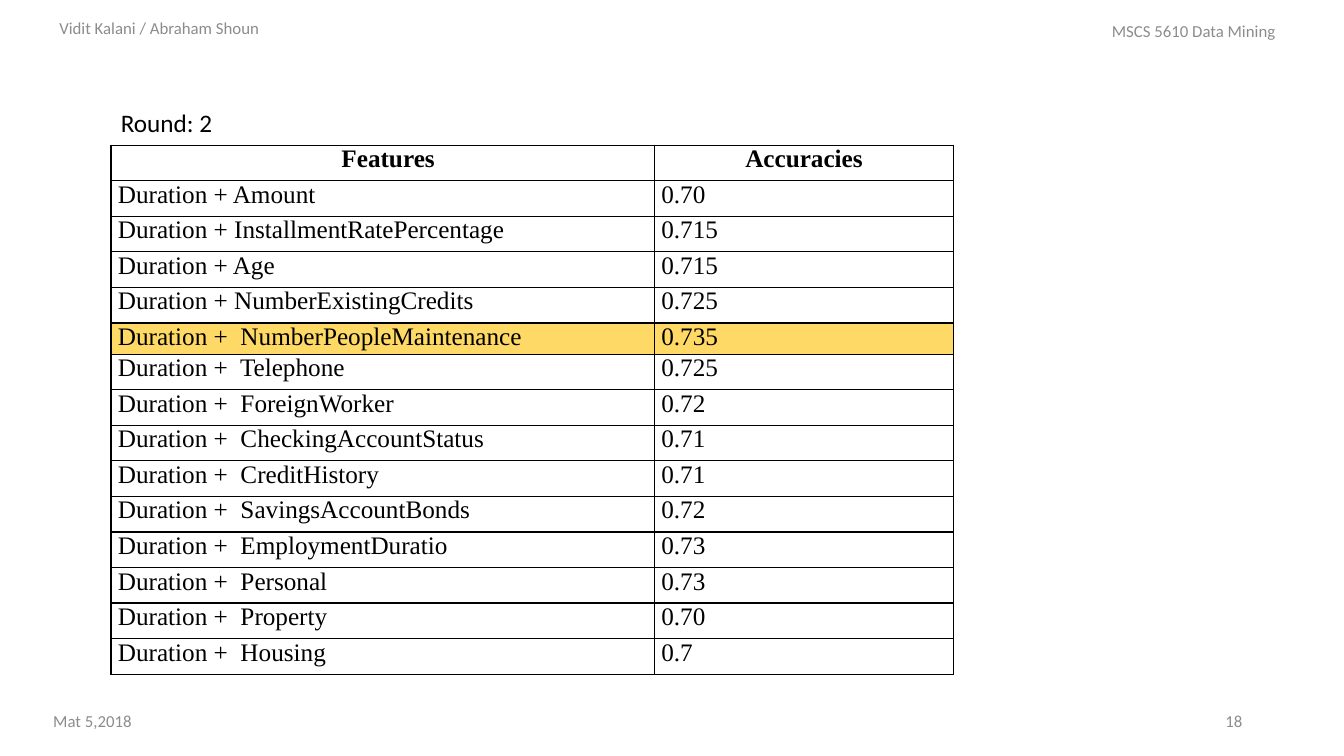
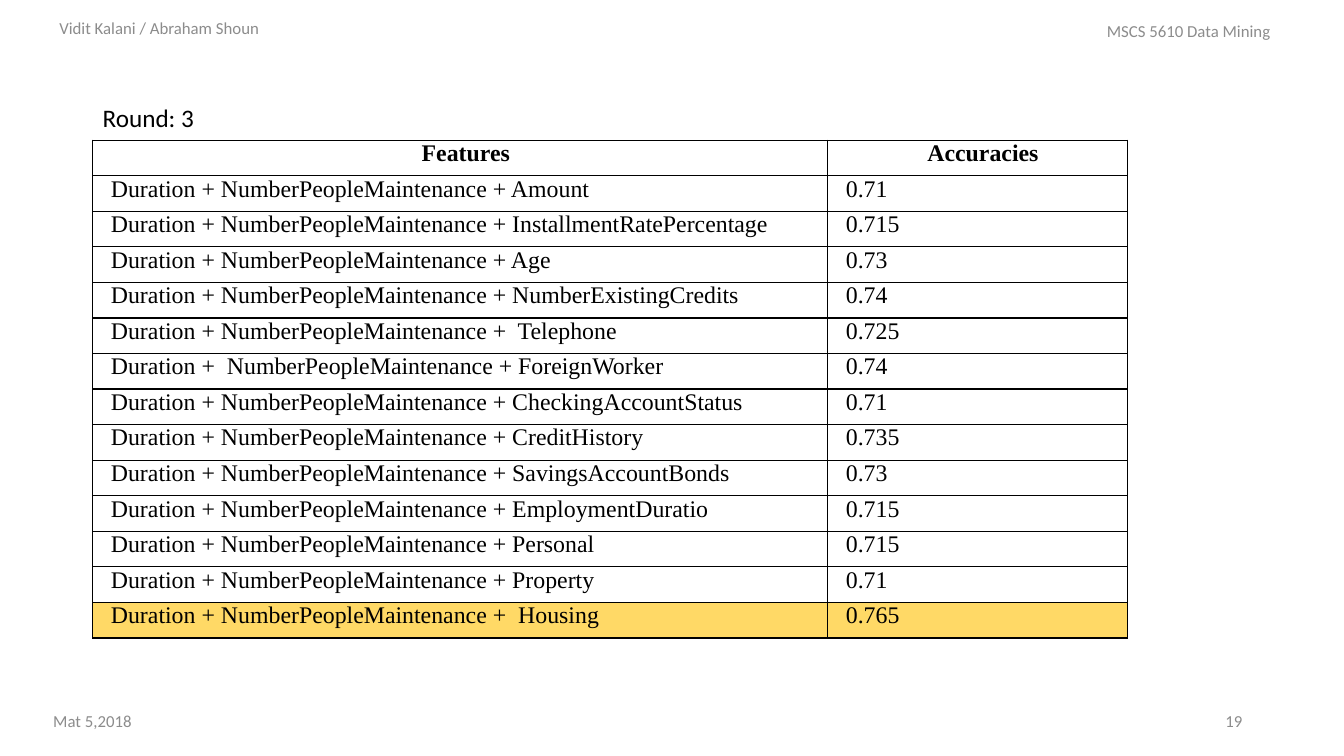
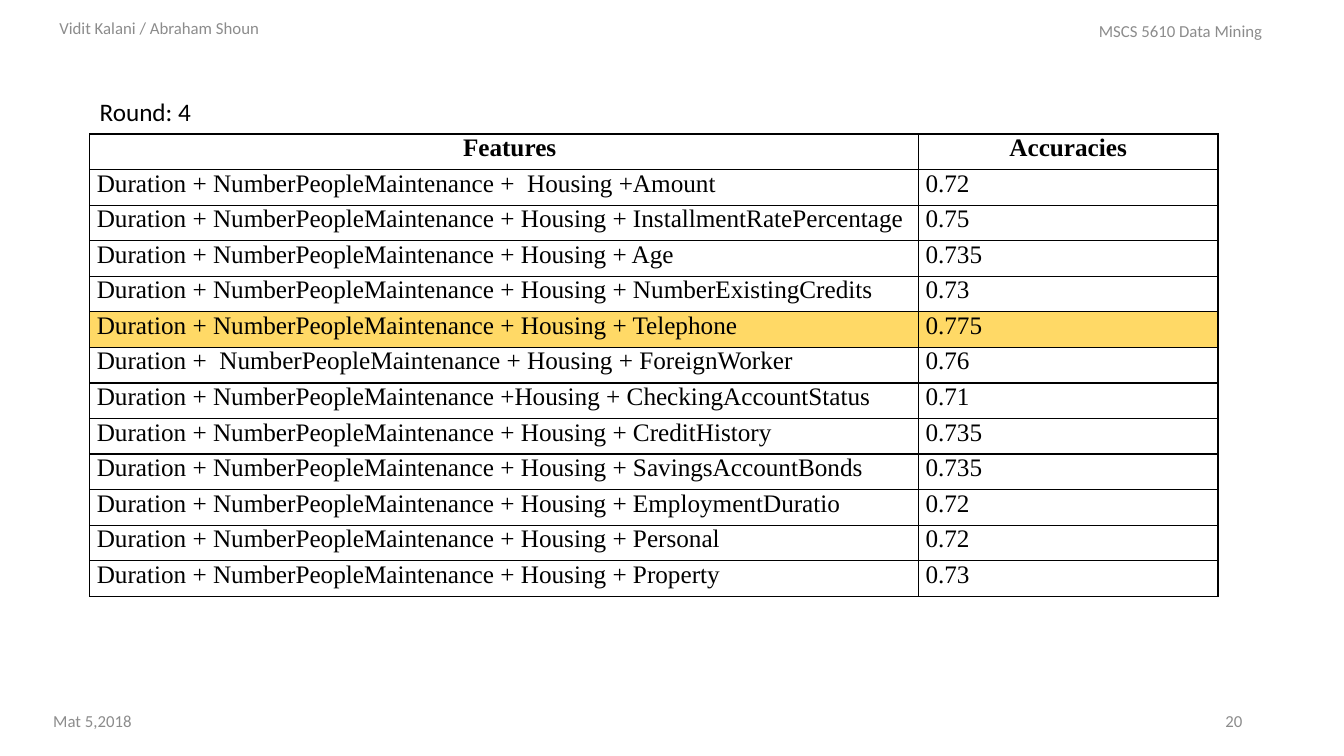
from pptx import Presentation
from pptx.dml.color import RGBColor
from pptx.enum.text import MSO_ANCHOR, PP_ALIGN
from pptx.oxml import parse_xml
from pptx.oxml.ns import nsdecls
from pptx.util import Inches, Pt

LEFT, MID, RIGHT = PP_ALIGN.LEFT, PP_ALIGN.CENTER, PP_ALIGN.RIGHT
TOP, CENTER = MSO_ANCHOR.TOP, MSO_ANCHOR.MIDDLE

BLACK, GRAY, GOLD = "000000", "8C8C8C", "FFD966"
SANS, SERIF = "Calibri", "Times New Roman"
WIDE, HIGH = 13.33, 7.5
LINE = 0.4
ROW = 6 / 17
SCORE = 2.97
INDENT = 0.11

HEADS = ("Features", "Accuracies")
AUTHORS = "Vidit Kalani / Abraham Shoun"
COURSE = "MSCS 5610 Data Mining"
DATE = "Mat 5,2018"

ROUNDS = [
    {
        "round": 2, "page": 18, "left": 1.1, "top": 1.44, "width": 5.39,
        "size": 18, "indent": 0, "best": 0.31, "course": 10.93,
        "rows": [
            ("Duration + Amount", "0.70"),
            ("Duration + InstallmentRatePercentage", "0.715"),
            ("Duration + Age", "0.715"),
            ("Duration + NumberExistingCredits", "0.725"),
            ("Duration +  NumberPeopleMaintenance", "0.735"),
            ("Duration +  Telephone", "0.725"),
            ("Duration +  ForeignWorker", "0.72"),
            ("Duration +  CheckingAccountStatus", "0.71"),
            ("Duration +  CreditHistory", "0.71"),
            ("Duration +  SavingsAccountBonds", "0.72"),
            ("Duration +  EmploymentDuratio", "0.73"),
            ("Duration +  Personal", "0.73"),
            ("Duration +  Property", "0.70"),
            ("Duration +  Housing", "0.7"),
        ],
    },
    {
        "round": 3, "page": 19, "left": 0.92, "top": 1.39, "width": 7.29,
        "size": 17, "indent": INDENT, "best": ROW, "course": 10.88,
        "rows": [
            ("Duration + NumberPeopleMaintenance + Amount", "0.71"),
            ("Duration + NumberPeopleMaintenance + InstallmentRatePercentage", "0.715"),
            ("Duration + NumberPeopleMaintenance + Age", "0.73"),
            ("Duration + NumberPeopleMaintenance + NumberExistingCredits", "0.74"),
            ("Duration + NumberPeopleMaintenance +  Telephone", "0.725"),
            ("Duration +  NumberPeopleMaintenance + ForeignWorker", "0.74"),
            ("Duration + NumberPeopleMaintenance + CheckingAccountStatus", "0.71"),
            ("Duration + NumberPeopleMaintenance + CreditHistory", "0.735"),
            ("Duration + NumberPeopleMaintenance + SavingsAccountBonds", "0.73"),
            ("Duration + NumberPeopleMaintenance + EmploymentDuratio", "0.715"),
            ("Duration + NumberPeopleMaintenance + Personal", "0.715"),
            ("Duration + NumberPeopleMaintenance + Property", "0.71"),
            ("Duration + NumberPeopleMaintenance +  Housing", "0.765"),
        ],
    },
    {
        "round": 4, "page": 20, "left": 0.89, "top": 1.33, "width": 8.22,
        "size": 18, "indent": 0, "best": ROW, "course": 10.8,
        "rows": [
            ("Duration + NumberPeopleMaintenance +  Housing +Amount", "0.72"),
            ("Duration + NumberPeopleMaintenance + Housing + InstallmentRatePercentage", "0.75"),
            ("Duration + NumberPeopleMaintenance + Housing + Age", "0.735"),
            ("Duration + NumberPeopleMaintenance + Housing + NumberExistingCredits", "0.73"),
            ("Duration + NumberPeopleMaintenance + Housing + Telephone", "0.775"),
            ("Duration +  NumberPeopleMaintenance + Housing + ForeignWorker", "0.76"),
            ("Duration + NumberPeopleMaintenance +Housing + CheckingAccountStatus", "0.71"),
            ("Duration + NumberPeopleMaintenance + Housing + CreditHistory", "0.735"),
            ("Duration + NumberPeopleMaintenance + Housing + SavingsAccountBonds", "0.735"),
            ("Duration + NumberPeopleMaintenance + Housing + EmploymentDuratio", "0.72"),
            ("Duration + NumberPeopleMaintenance + Housing + Personal", "0.72"),
            ("Duration + NumberPeopleMaintenance + Housing + Property", "0.73"),
        ],
    },
]


def color(code):
    return RGBColor.from_string(code)


def write(frame, text, size=12, font=SANS, ink=GRAY, bold=False,
          align=LEFT, indent=0, after=0):
    para = frame.paragraphs[0]
    para.alignment = align
    para.space_after = Pt(after)
    if indent:
        props = para._p.get_or_add_pPr()
        props.set("marL", str(Inches(indent)))
        props.set("indent", "0")
    run = para.add_run()
    run.text = text
    run.font.size = Pt(size)
    run.font.name = font
    run.font.bold = bold
    run.font.color.rgb = color(ink)


def label(slide, text, left, top, width=3, anchor=CENTER, **style):
    box = slide.shapes.add_textbox(*map(Inches, (left, top, width, LINE)))
    box.text_frame.word_wrap = True
    box.text_frame.vertical_anchor = anchor
    write(box.text_frame, text, **style)


def border(cell):
    props = cell._tc.get_or_add_tcPr()
    for side in ("lnL", "lnR", "lnT", "lnB"):
        props.append(parse_xml(
            f'<a:{side} {nsdecls("a")} w="{Pt(1)}"><a:solidFill>'
            f'<a:srgbClr val="{BLACK}"/></a:solidFill></a:{side}>'))


def scores(slide, data):
    rows = [HEADS] + data["rows"]
    best = max(range(1, len(rows)), key=lambda i: float(rows[i][1]))
    highs = [data["best"] if i == best else ROW for i in range(len(rows))]
    widths = (data["width"], SCORE)
    area = (data["left"], data["top"], sum(widths), sum(highs))
    table = slide.shapes.add_table(len(rows), len(HEADS), *map(Inches, area)).table
    table.first_row = table.horz_banding = False
    for col, width in zip(table.columns, widths):
        col.width = Inches(width)
    for i, row in enumerate(rows):
        table.rows[i].height = Inches(highs[i])
        for j, text in enumerate(row):
            cell = table.cell(i, j)
            cell.margin_left = cell.margin_right = Inches(0.07)
            cell.margin_top = cell.margin_bottom = 0
            border(cell)
            if i == best:
                cell.fill.solid()
                cell.fill.fore_color.rgb = color(GOLD)
            else:
                cell.fill.background()
            head = i == 0
            write(cell.text_frame, text, size=data["size"], font=SERIF,
                  ink=BLACK, bold=head, align=MID if head else LEFT, after=1.1,
                  indent=INDENT if head and j == 0 else data["indent"])


def frame(slide, data):
    foot = HIGH - 0.55
    label(slide, DATE, 0.43, foot)
    label(slide, str(data["page"]), 9.42, foot, align=RIGHT)
    label(slide, AUTHORS, 0.49, 0.08)
    label(slide, COURSE, data["course"], 0.11, width=3.14)


deck = Presentation()
deck.slide_width, deck.slide_height = Inches(WIDE), Inches(HIGH)
for data in ROUNDS:
    slide = deck.slides.add_slide(deck.slide_layouts[6])
    frame(slide, data)
    scores(slide, data)
    label(slide, f"Round: {data['round']}", data["left"], data["top"] - 0.42,
          width=8.9, anchor=TOP, size=18, ink=BLACK)
deck.save("out.pptx")
